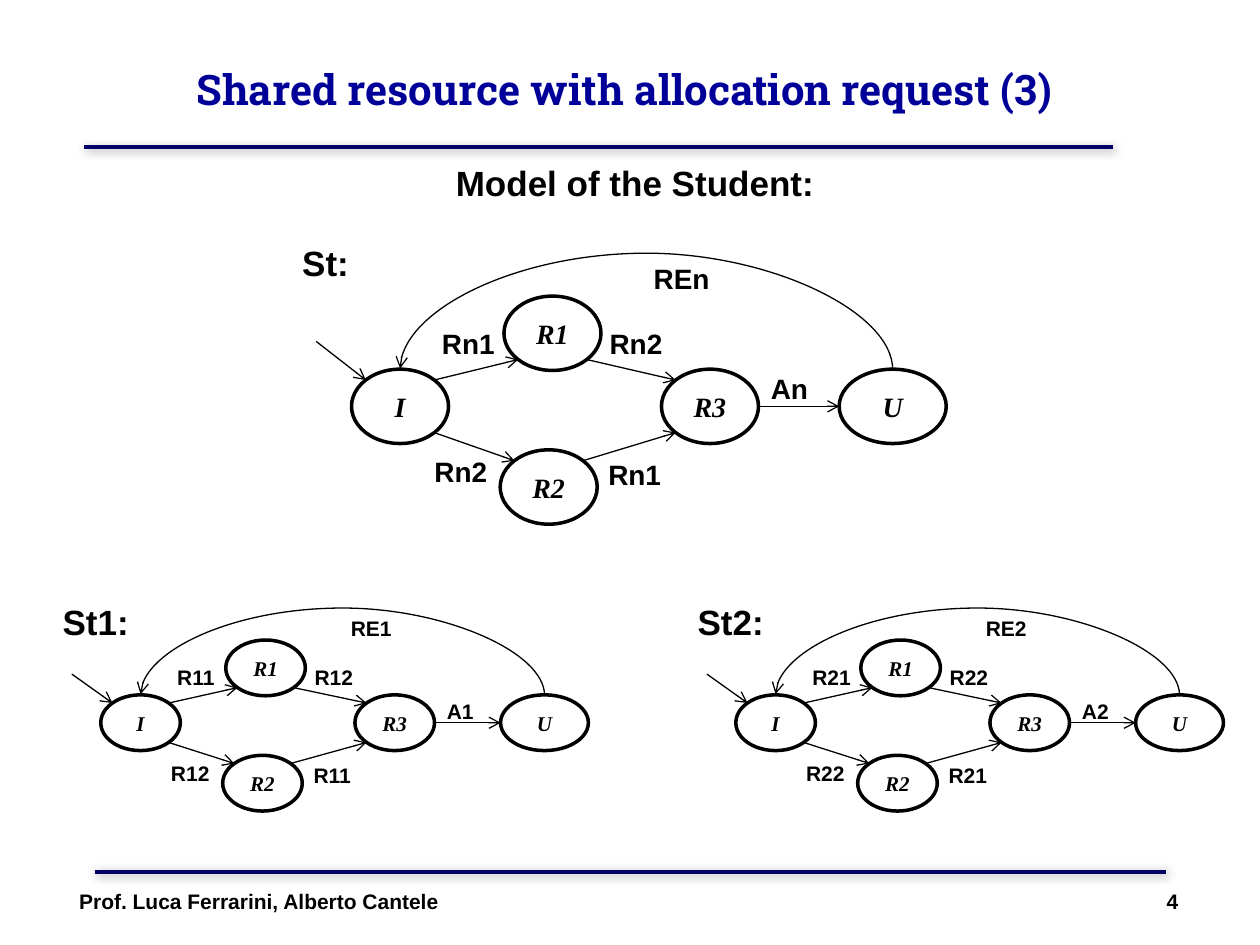
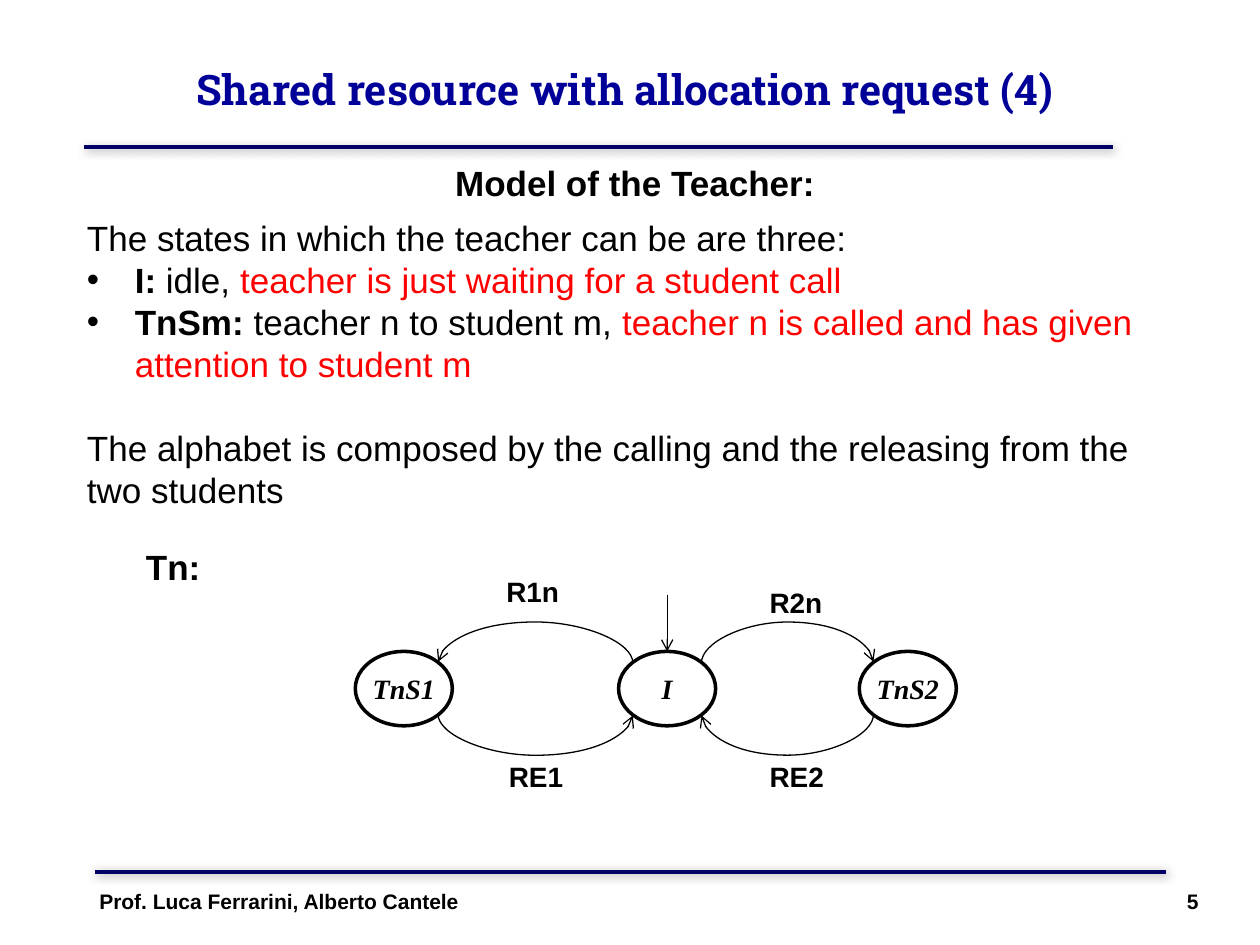
from dataclasses import dataclass
from math import cos, radians, sin

from lxml.etree import SubElement
from pptx import Presentation
from pptx.dml.color import RGBColor
from pptx.enum.shapes import MSO_CONNECTOR, MSO_SHAPE
from pptx.enum.text import MSO_ANCHOR, MSO_AUTO_SIZE, PP_ALIGN
from pptx.oxml.ns import qn
from pptx.util import Inches, Pt


@dataclass(frozen=True)
class Theme:
    black: RGBColor = RGBColor(0, 0, 0)
    white: RGBColor = RGBColor(255, 255, 255)
    red: RGBColor = RGBColor(255, 0, 0)
    title_blue: RGBColor = RGBColor(0, 0, 0x99)
    rule_blue: RGBColor = RGBColor(0, 0, 0x66)
    title_font: str = "Roboto Slab"
    text_font: str = "Arial"
    state_font: str = "Times New Roman"
    title_size: int = 24
    body_size: int = 20
    label_size: int = 16
    small_size: int = 12
    rule_width: float = 2.25
    state_width: float = 2
    arrow_width: float = 0.75


@dataclass(frozen=True)
class Frame:
    left: float
    top: float
    scale_x: float = 1
    scale_y: float = 1
    size: int = 16

    def place(self, x, y):
        return self.left + x * self.scale_x, self.top + y * self.scale_y


THEME = Theme()
STATE_WIDTH, STATE_HEIGHT = 0.77, 0.59
SIDES = {"right": 0, "bottom right": 45, "bottom": 90, "bottom left": 135,
         "left": 180, "top left": 225, "top": 270, "top right": 315}

STUDENT_STATES = {"I": (0, 0.58, STATE_WIDTH), "R1": (1.21, 0, STATE_WIDTH),
                  "R2": (1.18, 1.22, STATE_WIDTH), "R3": (2.46, 0.58, STATE_WIDTH),
                  "U": (3.87, 0.58, 0.85)}
STUDENT_ARROWS = [("I", "top right", "R1", "bottom left"),
                  ("R1", "bottom right", "R3", "top left"),
                  ("I", "bottom right", "R2", "top left"),
                  ("R2", "top right", "R3", "bottom left"),
                  ("R3", "right", "U", "left")]
STUDENT_LABELS = [("RE{}", 2.3, -0.32), ("R{}1", 0.62, 0.19), ("R{}2", 1.95, 0.19),
                  ("R{}2", 0.56, 1.21), ("R{}1", 1.94, 1.23), ("A{}", 3.23, 0.55)]
STUDENT_FRAMES = [("St:", "n", Frame(2.79, 2.35)),
                  ("St1:", "1", Frame(0.8, 5.08, 0.82, 0.75, THEME.small_size)),
                  ("St2:", "2", Frame(5.84, 5.08, 0.82, 0.75, THEME.small_size))]

TEACHER_STATES = {"TnS1": (0, 0, STATE_WIDTH), "I": (2.09, 0, STATE_WIDTH),
                  "TnS2": (4, 0, STATE_WIDTH)}
TEACHER_CURVES = [("I", "top left", "TnS1", "top right", 0.33),
                  ("TnS1", "bottom right", "I", "bottom left", -0.33),
                  ("I", "top right", "TnS2", "top left", 0.33),
                  ("TnS2", "bottom left", "I", "bottom right", -0.33)]
TEACHER_LABELS = [("R1n", 1.1, -0.66), ("R2n", 3.19, -0.57),
                  ("RE1", 1.12, 0.81), ("RE2", 3.19, 0.81)]
TEACHER_TEXT = [
    (False, 0, [("The states in which the teacher can be are three:", {})]),
    (True, 0, [("I:", {"bold": True}), (" idle, ", {}),
               ("teacher is just waiting for a student call", {"color": THEME.red})]),
    (True, 0, [("TnSm: ", {"bold": True}), ("teacher n to student m, ", {}),
               ("teacher n is called and has given attention to student m",
                {"color": THEME.red})]),
    (False, 24, [("The alphabet is composed by the calling and the releasing "
                  "from the two students", {})]),
]


def set_attributes(target, values):
    for name, value in values.items():
        setattr(target, name, value)


def add_run(paragraph, text, size, font=THEME.text_font, color=THEME.black,
            bold=False, italic=False):
    run = paragraph.add_run()
    run.text = text
    set_attributes(run.font, {"name": font, "size": Pt(size), "bold": bold, "italic": italic})
    run.font.color.rgb = color


def move(shape, left, top, width, height):
    set_attributes(shape, {"left": Inches(left), "top": Inches(top),
                           "width": Inches(width), "height": Inches(height)})


def add_text(slide, text, left, top, width, height, size, align=PP_ALIGN.LEFT):
    box = slide.shapes.add_textbox(Inches(left), Inches(top), Inches(width), Inches(height))
    box.text_frame.word_wrap = True
    paragraph = box.text_frame.paragraphs[0]
    paragraph.alignment = align
    add_run(paragraph, text, size, bold=True)


def style_line(connector, color, width):
    connector.line.color.rgb = color
    connector.line.width = Pt(width)
    return SubElement(connector._element.spPr, qn("a:effectLst"))


def add_arrowhead(connector):
    style_line(connector, THEME.black, THEME.arrow_width)
    SubElement(connector.line._get_or_add_ln(), qn("a:tailEnd"), type="arrow")


def add_line(slide, start, end):
    return slide.shapes.add_connector(MSO_CONNECTOR.STRAIGHT,
                                      *(Inches(value) for value in (*start, *end)))


def add_arrow(slide, start, end):
    add_arrowhead(add_line(slide, start, end))


def add_curve(slide, start, end, bulge):
    span = abs(end[0] - start[0])
    depth = 0.01
    left = (start[0] + end[0] - depth) / 2
    top = (start[1] + end[1] - span) / 2
    connector = slide.shapes.add_connector(
        MSO_CONNECTOR.CURVE, Inches(left), Inches(top),
        Inches(left + depth), Inches(top + span))
    upward = bulge > 0
    transform = connector._element.spPr.find(qn("a:xfrm"))
    transform.set("rot", str((270 if upward else 90) * 60000))
    if upward == (end[0] < start[0]):
        transform.set("flipV", "1")
    adjustments = connector._element.spPr.find(qn("a:prstGeom")).get_or_add_avLst()
    SubElement(adjustments, qn("a:gd"), name="adj1",
               fmla=f"val {round(abs(bulge) / depth * 100000)}")
    add_arrowhead(connector)


def add_rule(slide, left, right, top):
    effects = style_line(add_line(slide, (left, top), (right, top)),
                         THEME.rule_blue, THEME.rule_width)
    shadow = SubElement(effects, qn("a:outerShdw"), blurRad=str(Pt(5)), dist=str(Pt(1.4)),
                        dir=str(45 * 60000), algn="ctr", rotWithShape="0")
    color = SubElement(shadow, qn("a:srgbClr"), val="808080")
    SubElement(color, qn("a:alpha"), val="75000")


def add_state(slide, frame, name, x, y, width):
    left, top = frame.place(x, y)
    state = slide.shapes.add_shape(
        MSO_SHAPE.OVAL, Inches(left), Inches(top),
        Inches(width * frame.scale_x), Inches(STATE_HEIGHT * frame.scale_y))
    state.shadow.inherit = False
    state.fill.solid()
    state.fill.fore_color.rgb = THEME.white
    state.line.color.rgb = THEME.black
    state.line.width = Pt(THEME.state_width)
    set_attributes(state.text_frame, {
        "margin_left": 0, "margin_right": 0, "margin_top": 0, "margin_bottom": 0,
        "word_wrap": False, "vertical_anchor": MSO_ANCHOR.MIDDLE})
    paragraph = state.text_frame.paragraphs[0]
    paragraph.alignment = PP_ALIGN.CENTER
    add_run(paragraph, name, frame.size, THEME.state_font, bold=True, italic=True)


def edge_point(frame, state, side):
    x, y, width = state
    angle = radians(SIDES[side])
    return frame.place(x + width / 2 * (1 + cos(angle)),
                       y + STATE_HEIGHT / 2 * (1 + sin(angle)))


def add_states(slide, frame, states):
    for name, position in states.items():
        add_state(slide, frame, name, *position)


def add_label(slide, frame, text, x, y):
    add_text(slide, text, *frame.place(x, y), 0.8, 0.37, frame.size)


def add_student(slide, heading, number, frame):
    states = STUDENT_STATES
    add_states(slide, frame, states)
    for source, source_side, target, target_side in STUDENT_ARROWS:
        add_arrow(slide, edge_point(frame, states[source], source_side),
                  edge_point(frame, states[target], target_side))
    add_arrow(slide, frame.place(-0.28, 0.36), edge_point(frame, states["I"], "top left"))
    add_curve(slide, edge_point(frame, states["U"], "top"),
              edge_point(frame, states["I"], "top"), 0.94 * frame.scale_y)
    add_text(slide, heading, *frame.place(-0.49, -0.48), 1.33, 0.44, THEME.body_size)
    for pattern, x, y in STUDENT_LABELS:
        add_label(slide, frame, pattern.format(number), x, y)


def add_teacher(slide, frame):
    states = TEACHER_STATES
    add_states(slide, frame, states)
    for source, source_side, target, target_side, bulge in TEACHER_CURVES:
        add_curve(slide, edge_point(frame, states[source], source_side),
                  edge_point(frame, states[target], target_side), bulge)
    top = edge_point(frame, states["I"], "top")
    add_arrow(slide, (top[0], top[1] - 0.45), top)
    add_text(slide, "Tn:", 1.06, 4.28, 1.33, 0.44, THEME.body_size)
    for text, x, y in TEACHER_LABELS:
        add_label(slide, frame, text, x, y)


def fill_body(body, paragraphs):
    move(body, 0.59, 1.67, 8.9, 2.46)
    set_attributes(body.text_frame, {"word_wrap": True, "auto_size": MSO_AUTO_SIZE.NONE,
                                     "vertical_anchor": MSO_ANCHOR.TOP})
    for index, (bulleted, space, runs) in enumerate(paragraphs):
        paragraph = (body.text_frame.add_paragraph() if index
                     else body.text_frame.paragraphs[0])
        set_attributes(paragraph, {"space_before": Pt(space), "alignment": PP_ALIGN.LEFT})
        properties = paragraph._p.get_or_add_pPr()
        indent = Inches(0.38) if bulleted else 0
        properties.set("marL", str(indent))
        properties.set("indent", str(-indent))
        if bulleted:
            SubElement(properties, qn("a:buFont"), typeface=THEME.text_font)
            SubElement(properties, qn("a:buChar"), char="•")
        else:
            SubElement(properties, qn("a:buNone"))
        for text, style in runs:
            add_run(paragraph, text, THEME.body_size, **style)


def add_page(presentation, layout, part, heading, page, footer_left):
    slide = presentation.slides.add_slide(presentation.slide_layouts[layout])
    add_rule(slide, 0.67, 8.83, 1.17)
    add_rule(slide, 0.75, 9.25, 6.92)
    title = slide.shapes.title
    move(title, 0.75, 0.08, 8.5, 1.25)
    set_attributes(title.text_frame, {"word_wrap": True, "auto_size": MSO_AUTO_SIZE.NONE,
                                      "vertical_anchor": MSO_ANCHOR.MIDDLE})
    paragraph = title.text_frame.paragraphs[0]
    paragraph.alignment = PP_ALIGN.CENTER
    add_run(paragraph, f"Shared resource with allocation request ({part}) ",
            THEME.title_size, THEME.title_font, THEME.title_blue, bold=True)
    add_text(slide, heading, 0.59, 1.23, 8.9, 0.44, THEME.body_size, PP_ALIGN.CENTER)
    add_text(slide, "Prof. Luca Ferrarini, Alberto Cantele", footer_left, 7, 5, 0.5,
             THEME.small_size)
    add_text(slide, str(page), footer_left + 7.92, 7, 1, 0.5, THEME.small_size,
             PP_ALIGN.RIGHT)
    return slide


def main():
    presentation = Presentation()
    set_attributes(presentation, {"slide_width": Inches(10), "slide_height": Inches(7.5)})
    student_slide = add_page(presentation, 5, 3, "Model of the Student:", 4, 0.53)
    for heading, number, frame in STUDENT_FRAMES:
        add_student(student_slide, heading, number, frame)
    teacher_slide = add_page(presentation, 1, 4, "Model of the Teacher:", 5, 0.69)
    fill_body(teacher_slide.placeholders[1], TEACHER_TEXT)
    add_teacher(teacher_slide, Frame(2.82, 5.17))
    presentation.save("out.pptx")


if __name__ == "__main__":
    main()
